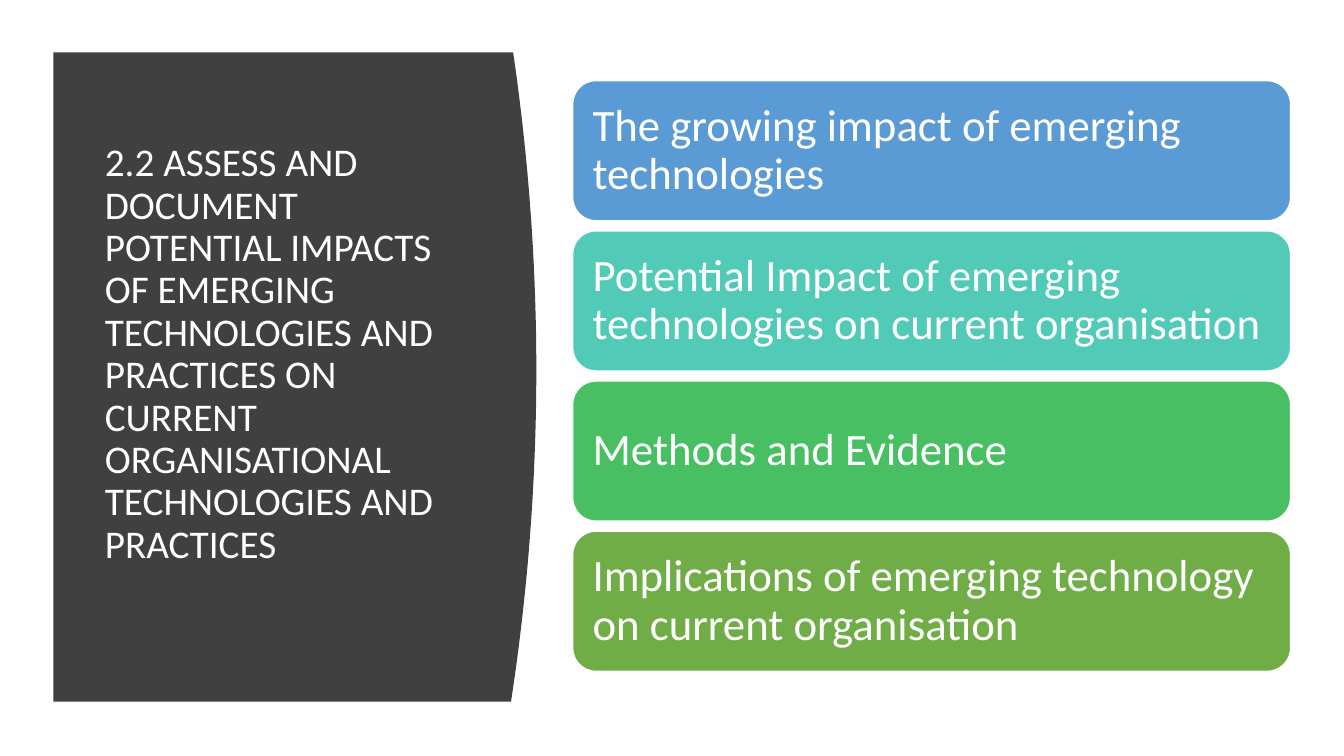
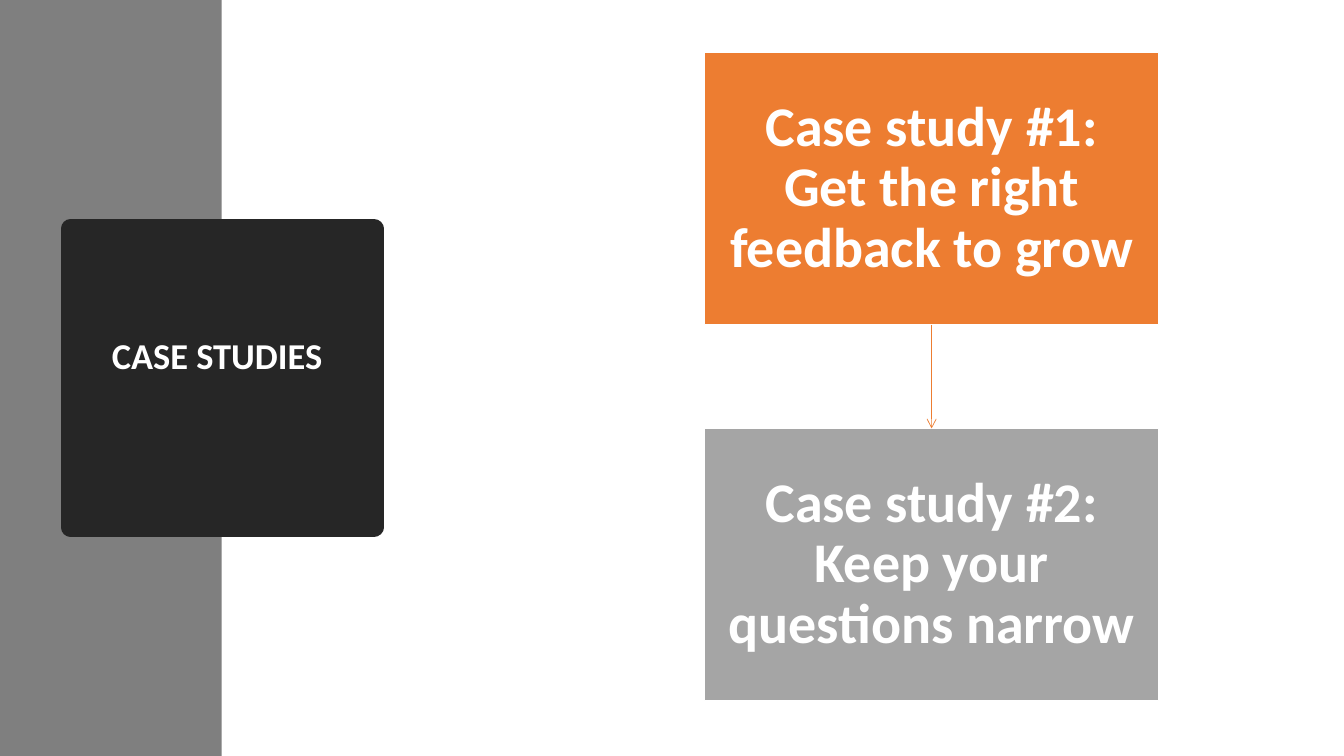
from lxml import etree
from pptx import Presentation
from pptx.dml.color import RGBColor
from pptx.enum.shapes import MSO_CONNECTOR as LINK, MSO_SHAPE as SHAPE
from pptx.enum.text import MSO_ANCHOR as ANCHOR, MSO_AUTO_SIZE as FIT, PP_ALIGN as ALIGN
from pptx.oxml.ns import qn
from pptx.util import Pt

PX = 9144  # 100 px to the inch
WHITE, DARK, BLACK, GREY = "FFFFFF", "404040", "262626", "7F7F7F"
ORANGE, SILVER = "ED7D31", "A5A5A5"


def paint(item, fill, line=None, width=1):
    """Fill and outline a shape."""
    item.shadow.inherit = False
    item.fill.solid()
    item.fill.fore_color.rgb = RGBColor.from_string(fill)
    if line:
        item.line.color.rgb = RGBColor.from_string(line)
        item.line.width = Pt(width)
    else:
        item.line.fill.background()


def write(item, text, size, pads, align=ALIGN.LEFT, bold=False):
    """Set white text, with pads as left, top, right and bottom px."""
    frame = item.text_frame
    frame.text = text
    left, top, right, low = [pad * PX for pad in pads]
    para = frame.paragraphs[0]
    looks = [
        (frame, {"word_wrap": True, "auto_size": FIT.NONE,
                 "vertical_anchor": ANCHOR.MIDDLE,
                 "margin_left": left, "margin_top": top,
                 "margin_right": right, "margin_bottom": low}),
        (para, {"alignment": align, "line_spacing": 0.9}),
        (para.font, {"name": "Calibri", "size": Pt(size), "bold": bold}),
    ]
    for part, look in looks:
        for key, value in look.items():
            setattr(part, key, value)
    para.font.color.rgb = RGBColor.from_string(WHITE)


deck = Presentation()
deck.slide_width, deck.slide_height = 1333 * PX, 750 * PX
plain = deck.slide_layouts[5]

# Slide 1: panel with a bowed right edge
slide = deck.slides.add_slide(plain)
top, low, mid = 52, 696, 367
edge = [((532 - 24 * ((y - mid) / 322) ** 2) * PX, y * PX)
        for y in range(top, low + 1, 14)]
pen = slide.shapes.build_freeform(53 * PX, top * PX)
pen.add_line_segments(edge + [(53 * PX, low * PX)], close=True)
panel = pen.convert_to_shape()
paint(panel, DARK)

# Title over the panel
title = slide.shapes.title
title.left, title.top, title.width, title.height = [n * PX for n in (94, 111, 374, 524)]
write(title, "2.2 ASSESS AND DOCUMENT POTENTIAL IMPACTS OF EMERGING TECHNOLOGIES "
      "AND PRACTICES ON CURRENT ORGANISATIONAL TECHNOLOGIES AND PRACTICES",
      28, (10, 5, 10, 47))
slide.shapes._spTree.append(title._element)

# Topic bars
topics = [
    ("The growing impact of emerging technologies", "5B9BD5"),
    ("Potential Impact of emerging technologies on current organisation", "52CAB8"),
    ("Methods and Evidence", "49BF64"),
    ("Implications of emerging technology on current organisation", "70AD47"),
]
for row, (text, fill) in enumerate(topics):
    bar = slide.shapes.add_shape(SHAPE.ROUNDED_RECTANGLE, 568 * PX,
                                 (80 + 149 * row) * PX, 712 * PX, 139 * PX)
    paint(bar, fill, WHITE)
    write(bar, text, 32, (13, 13, 13, 13))

# Slide 2: side band
slide = deck.slides.add_slide(plain)
band = slide.shapes.add_shape(SHAPE.RECTANGLE, 0, 0, 220 * PX, 750 * PX)
paint(band, GREY)

# Title block with a thick outline
title = slide.shapes.title
title.left, title.top, title.width, title.height = [n * PX for n in (70, 227, 301, 296)]
paint(title, BLACK, BLACK, 13.75)
write(title, "CASE STUDIES", 26, (10, 5, 20, 45), ALIGN.CENTER, True)
slide.shapes._spTree.append(title._element)

# Case boxes
cases = [
    ("Case study #1: Get the right feedback to grow", ORANGE),
    ("Case study #2: Keep your questions narrow", SILVER),
]
boxes = []
for row, (text, fill) in enumerate(cases):
    box = slide.shapes.add_shape(SHAPE.RECTANGLE, 699 * PX, (52 + 373 * row) * PX,
                                 450 * PX, 270 * PX)
    paint(box, fill, WHITE)
    write(box, text, 40, (22, 23, 22, 23), ALIGN.CENTER, True)
    boxes.append(box)

# Arrow between the cases
arrow = slide.shapes.add_connector(LINK.STRAIGHT, 924 * PX, 322 * PX, 924 * PX, 425 * PX)
arrow.begin_connect(boxes[0], 2)
arrow.end_connect(boxes[1], 0)
arrow.line.color.rgb = RGBColor.from_string(ORANGE)
arrow.line.width = Pt(0.5)
etree.SubElement(arrow.line._get_or_add_ln(), qn("a:tailEnd"), type="arrow")
etree.SubElement(arrow._element.spPr, qn("a:effectLst"))

deck.save("out.pptx")
